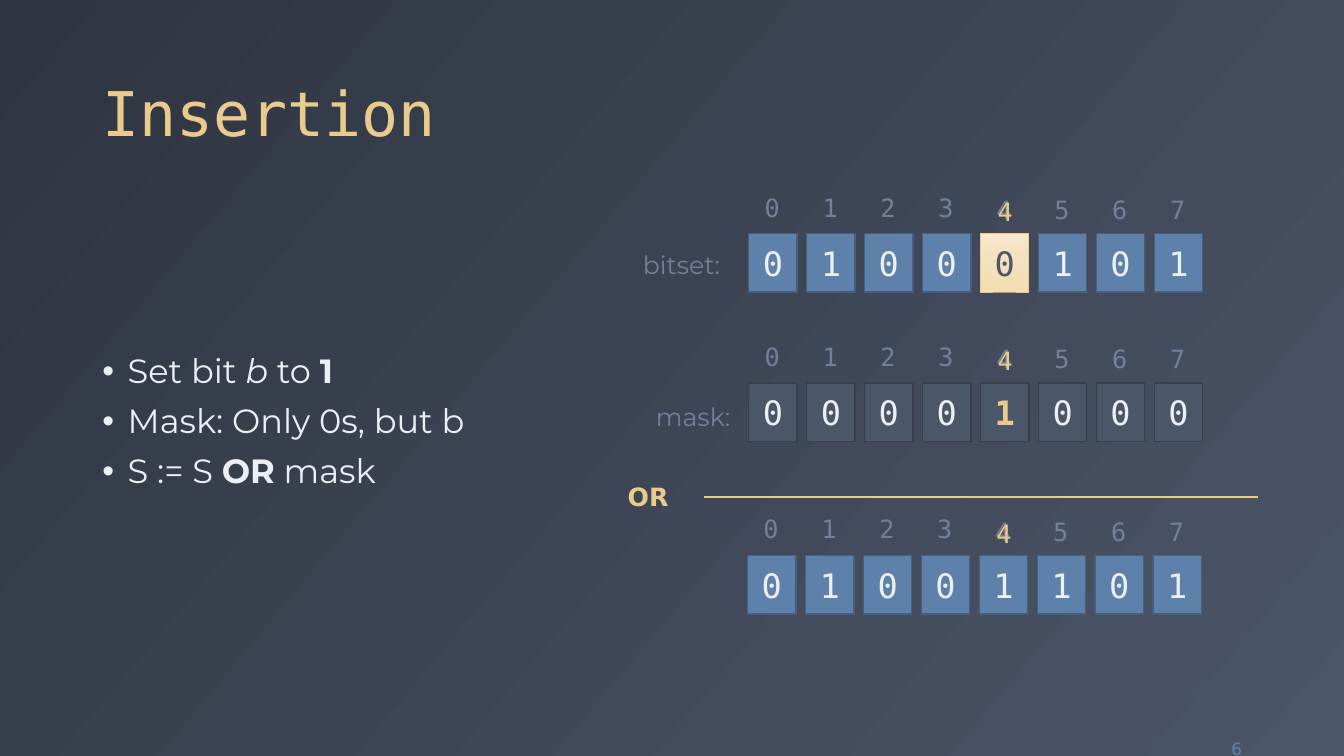
import copy

import lxml.etree
import pptx
import pptx.dml.color
import pptx.enum.shapes
import pptx.enum.text
import pptx.oxml.ns
import pptx.util

Cm = pptx.util.Cm
Pt = pptx.util.Pt
qn = pptx.oxml.ns.qn
ALIGN = pptx.enum.text.PP_ALIGN
ANCHOR = pptx.enum.text.MSO_ANCHOR

MONO, SANS, BODY = "DejaVu Sans Mono", "DejaVu Sans", "Montserrat"
GOLD, WHITE, MUTED = "EBCB8B", "ECEFF3", "73809B"
BLUE, BLUE_EDGE = "5E81AC", "465F7F"
SLATE, SLATE_EDGE = "4C5669", "38404E"


def rgb(hex_colour):
    return pptx.dml.color.RGBColor.from_string(hex_colour)


def set_all(target, values):
    for name, value in values.items():
        setattr(target, name, value)


class Deck:
    cell_width, cell_height, cell_pitch = 1.22, 1.47, 1.46

    def __init__(self):
        self.presentation = pptx.Presentation()
        set_all(self.presentation, {"slide_width": Cm(33.87), "slide_height": Cm(19.05)})
        self.slide = self.presentation.slides.add_slide(self.presentation.slide_layouts[6])
        self.shapes = self.slide.shapes

    def gradient(self, fill, element, colours, clockwise):
        """Spread the colours evenly over the fill found inside element."""
        fill.gradient()
        fill.gradient_angle = (360 - clockwise) % 360
        stop_list = element.find(".//" + qn("a:gsLst"))
        for _ in colours[2:]:
            stop_list.append(copy.deepcopy(stop_list[-1]))
        for index, (stop, colour) in enumerate(zip(fill.gradient_stops, colours)):
            stop.color.rgb = rgb(colour)
            stop.position = index / (len(colours) - 1)

    def add_words(self, paragraph, words, size, font, colour, **emphasis):
        run = paragraph.add_run()
        run.text = words
        set_all(run.font, {"size": Pt(size), "name": font, **emphasis})
        run.font.color.rgb = rgb(colour)

    def text(self, box, words, size, font, colour, align=ALIGN.LEFT,
             anchor=ANCHOR.TOP, wrap=False, **emphasis):
        frame = self.shapes.add_textbox(*map(Cm, box)).text_frame
        sizing = pptx.enum.text.MSO_AUTO_SIZE
        set_all(frame, {"word_wrap": wrap, "vertical_anchor": anchor,
                        "auto_size": sizing.NONE if wrap else sizing.SHAPE_TO_FIT_TEXT})
        frame.paragraphs[0].alignment = align
        self.add_words(frame.paragraphs[0], words, size, font, colour, **emphasis)
        return frame

    def bullets(self, box, items):
        frame = self.shapes.add_textbox(*map(Cm, box)).text_frame
        set_all(frame, {"word_wrap": True, "vertical_anchor": ANCHOR.MIDDLE})
        for index, runs in enumerate(items):
            paragraph = frame.add_paragraph() if index else frame.paragraphs[0]
            set_all(paragraph, {"line_spacing": 0.9, "space_before": Pt(10)})
            properties = paragraph._p.get_or_add_pPr()
            properties.set("marL", str(Cm(0.64)))
            properties.set("indent", str(-Cm(0.64)))
            lxml.etree.SubElement(properties, qn("a:buFont")).set("typeface", "Arial")
            lxml.etree.SubElement(properties, qn("a:buChar")).set("char", "•")
            for words, emphasis in runs:
                self.add_words(paragraph, words, 24, BODY, WHITE, **emphasis)

    def cell(self, left, top, bit, fill, edge, colour=WHITE, edge_width=1, bold=False):
        """Draw one bit; a list of colours as fill makes a vertical gradient."""
        box = self.shapes.add_shape(
            pptx.enum.shapes.MSO_SHAPE.RECTANGLE,
            *map(Cm, (left, top, self.cell_width, self.cell_height)))
        box.shadow.inherit = False
        if isinstance(fill, list):
            self.gradient(box.fill, box._element, fill, 90)
        else:
            box.fill.solid()
            box.fill.fore_color.rgb = rgb(fill)
        box.line.color.rgb = rgb(edge)
        box.line.width = Pt(edge_width)
        box.text_frame.vertical_anchor = ANCHOR.MIDDLE
        paragraph = box.text_frame.paragraphs[0]
        paragraph.alignment = ALIGN.CENTER
        self.add_words(paragraph, bit, 24, MONO, colour, bold=bold)

    def index(self, left, top, number, colour=MUTED):
        self.text((left, top, 0.86, 1.02), str(number), 18, MONO, colour)

    def bit_row(self, left, top, bits, fill, edge, chosen, chosen_style):
        """Draw the bits with their indices above, and mark the chosen one."""
        for number, bit in enumerate(bits):
            cell_left = left + number * self.cell_pitch
            style = {"fill": fill, "edge": edge}
            if number == chosen:
                style.update(chosen_style)
            self.cell(cell_left, top, bit, **style)
            self.index(cell_left + 0.15, top - (1.18 if number < chosen else 1.12), number)
        self.index(left + chosen * self.cell_pitch + 0.18, top - 1.07, chosen, GOLD)

    def rule(self, left, right, top, colour, width):
        line = self.shapes.add_connector(
            pptx.enum.shapes.MSO_CONNECTOR.STRAIGHT, *map(Cm, (left, top, right, top)))
        line.line.color.rgb = rgb(colour)
        line.line.width = Pt(width)
        lxml.etree.SubElement(line._element.spPr, qn("a:effectLst"))


def main():
    deck = Deck()
    deck.gradient(deck.slide.background.fill, deck.slide._element, ["2E3440", SLATE], 40)

    title = deck.text((2.33, 0.46, 29.21, 3.45), "Insertion", 44, MONO, GOLD,
                      anchor=ANCHOR.BOTTOM, wrap=True)
    title.paragraphs[0].line_spacing = 0.9
    deck.bullets((2.33, 5.08, 14.6, 11.15), [
        [("Set bit ", {}), ("b", {"italic": True}), (" to ", {}), ("1", {"bold": True})],
        [("Mask: Only 0s, but b", {})],
        [("S := S ", {}), ("OR", {"bold": True}), (" mask", {})],
    ])
    deck.text((29.44, 18.36, 2.11, 1.02), "6", 12, SANS, BLUE,
              align=ALIGN.RIGHT, anchor=ANCHOR.MIDDLE, wrap=True)

    target_bit = {"fill": ["F7E7CB", "F3E0BC", "F4DDB1"], "edge": GOLD,
                  "colour": SLATE, "edge_width": 0.5}
    mask_bit = {"colour": GOLD, "bold": True}
    for left, top, bits, fill, edge, chosen_style in (
        (18.87, 5.89, "01000101", BLUE, BLUE_EDGE, target_bit),
        (18.87, 9.65, "00001000", SLATE, SLATE_EDGE, mask_bit),
        (18.84, 14.0, "01001101", BLUE, BLUE_EDGE, {}),
    ):
        deck.bit_row(left, top, bits, fill, edge, 4, chosen_style)

    deck.rule(17.73, 31.7, 12.52, GOLD, 1.5)
    deck.text((15.57, 12.01, 1.55, 1.02), "OR", 18, SANS, GOLD, bold=True)
    deck.text((16.28, 9.98, 2.41, 1.02), "mask:", 18, BODY, MUTED)
    deck.text((15.95, 6.15, 2.49, 1.02), "bitset:", 18, BODY, MUTED)

    deck.presentation.save("out.pptx")


if __name__ == "__main__":
    main()
